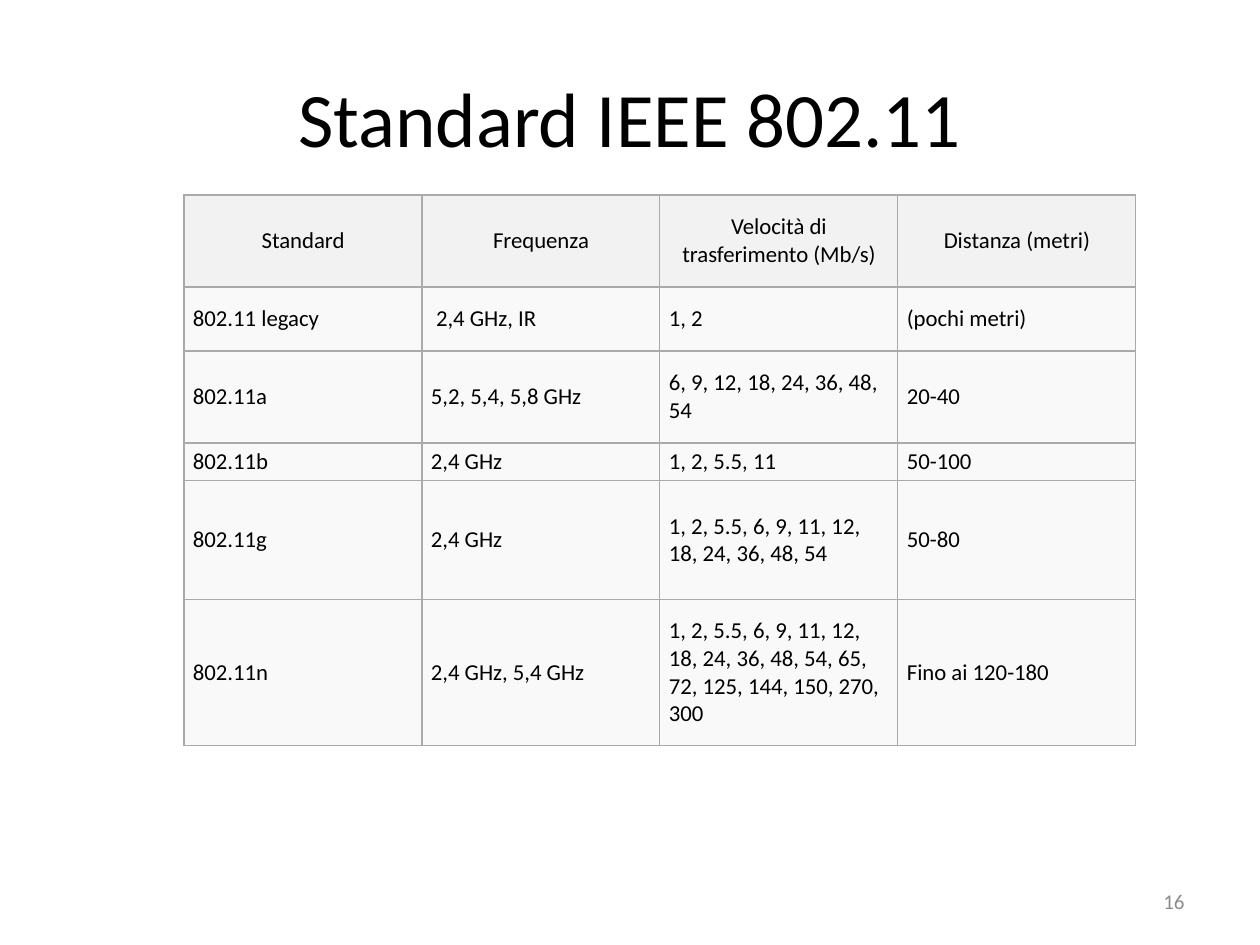
"""Build the slide with the table of IEEE 802.11 standards."""
from lxml.etree import SubElement
from pptx import Presentation
from pptx.dml.color import RGBColor
from pptx.enum.text import MSO_ANCHOR, PP_ALIGN
from pptx.oxml.ns import qn
from pptx.util import Pt

PX = 914400 / 126


def px(length):
    return round(length * PX)


def write(frame, text, size, color, align):
    frame.text = text
    frame.word_wrap = True
    frame.vertical_anchor = MSO_ANCHOR.MIDDLE
    paragraph = frame.paragraphs[0]
    paragraph.alignment = align
    font = paragraph.runs[0].font
    font.color.rgb = RGBColor.from_string(color)
    for name, value in {"name": "Calibri", "size": Pt(size)}.items():
        setattr(font, name, value)


presentation = Presentation()
presentation.slide_width = px(1260)
presentation.slide_height = px(945)
slide = presentation.slides.add_slide(presentation.slide_layouts[5])

title = slide.shapes.title
title_place = {"left": 63, "top": 38, "width": 1134, "height": 157}
for name, value in title_place.items():
    setattr(title, name, px(value))
write(title.text_frame, "Standard IEEE 802.11", 44, "000000", PP_ALIGN.CENTER)

rows = [
    ("Standard", "Frequenza", "Velocità di trasferimento (Mb/s)", "Distanza (metri)"),
    ("802.11 legacy", " 2,4 GHz, IR", "1, 2", "(pochi metri)"),
    ("802.11a", "5,2, 5,4, 5,8 GHz", "6, 9, 12, 18, 24, 36, 48, 54", "20-40"),
    ("802.11b", "2,4 GHz", "1, 2, 5.5, 11", "50-100"),
    ("802.11g", "2,4 GHz", "1, 2, 5.5, 6, 9, 11, 12, 18, 24, 36, 48, 54", "50-80"),
    ("802.11n", "2,4 GHz, 5,4 GHz",
     "1, 2, 5.5, 6, 9, 11, 12, 18, 24, 36, 48, 54, 65, 72, 125, 144, 150, 270, 300",
     "Fino ai 120-180"),
]
row_heights = [92, 64, 92, 37, 119, 146]
column_width = 238
margins = {"margin_left": 9, "margin_right": 9, "margin_top": 5, "margin_bottom": 5}

table = slide.shapes.add_table(
    len(rows), len(rows[0]), px(184), px(195),
    px(column_width * len(rows[0])), px(sum(row_heights)),
).table
for column in table.columns:
    column.width = px(column_width)

for row_index, (texts, height) in enumerate(zip(rows, row_heights)):
    table.rows[row_index].height = px(height)
    header = row_index == 0
    for column_index, text in enumerate(texts):
        cell = table.cell(row_index, column_index)
        align = PP_ALIGN.CENTER if header else PP_ALIGN.LEFT
        write(cell.text_frame, text, 13, "000000", align)
        cell.vertical_anchor = MSO_ANCHOR.MIDDLE
        for name, value in margins.items():
            setattr(cell, name, px(value))
        properties = cell._tc.get_or_add_tcPr()
        for side in ("a:lnL", "a:lnR", "a:lnT", "a:lnB"):
            border = SubElement(properties, qn(side), w=str(Pt(0.75)))
            border_fill = SubElement(border, qn("a:solidFill"))
            SubElement(border_fill, qn("a:srgbClr"), val="AAAAAA")
        cell.fill.solid()
        cell.fill.fore_color.rgb = RGBColor.from_string("F2F2F2" if header else "F9F9F9")

slide_number = slide.shapes.add_textbox(px(903), px(876), px(294), px(50))
write(slide_number.text_frame, "16", 12, "8C8C8C", PP_ALIGN.RIGHT)

presentation.save("out.pptx")
